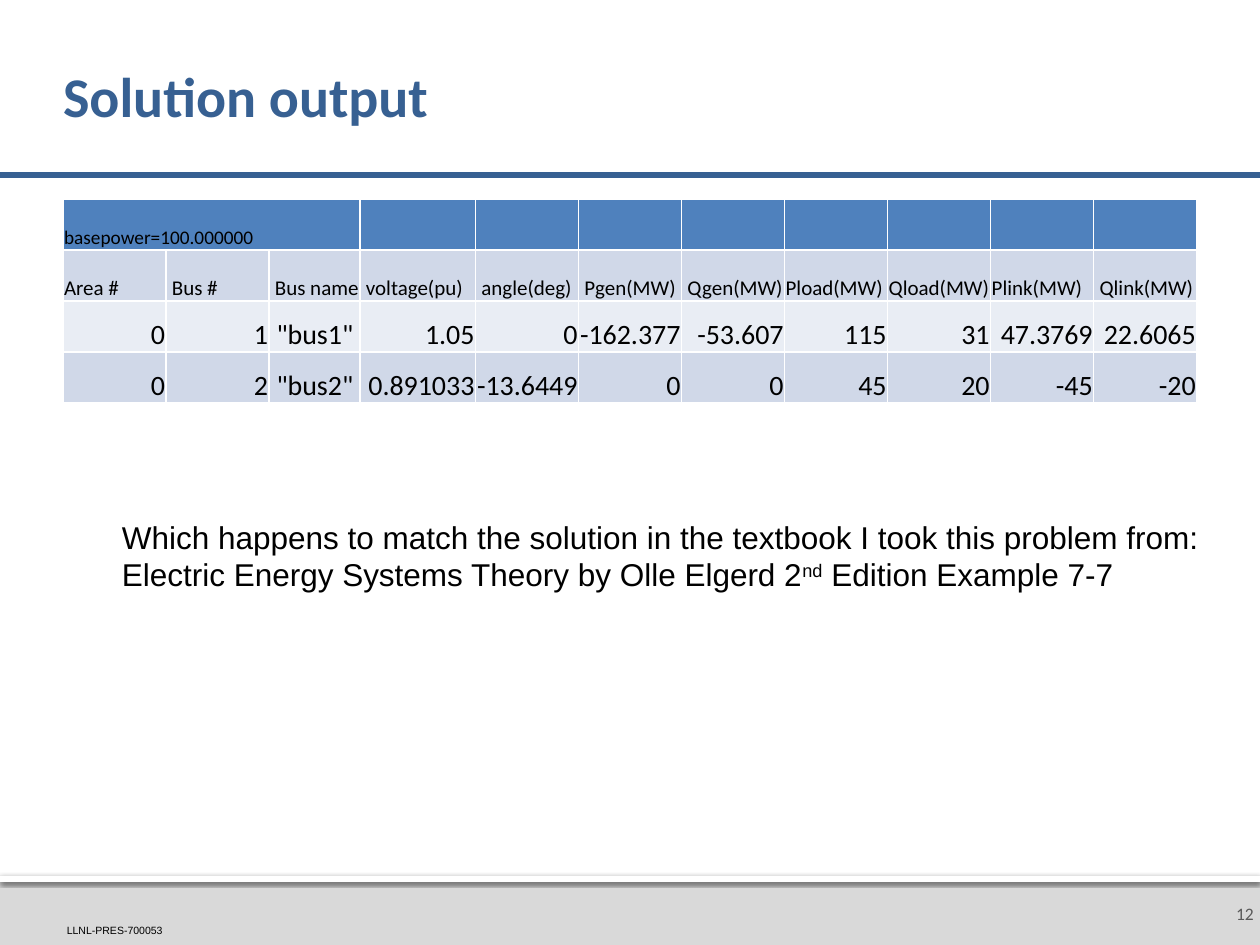
"""Build the "Solution output" slide with its bus results table."""
from dataclasses import dataclass

from lxml import etree
from pptx import Presentation
from pptx.dml.color import RGBColor
from pptx.enum import shapes, text
from pptx.oxml import ns
from pptx.util import Pt

TITLE = "Solution output"
BASE_POWER = "basepower=100.000000"
HEADINGS = ["Area #", "Bus #", "Bus name", "voltage(pu)", "angle(deg)", "Pgen(MW)",
            "Qgen(MW)", "Pload(MW)", "Qload(MW)", "Plink(MW)", "Qlink(MW)"]
FLUSH_HEADINGS = {"Area #", "Pload(MW)", "Qload(MW)", "Plink(MW)"}
BUSES = [
    ["0", "1", '"bus1"', "1.05", "0", "-162.377", "-53.607", "115", "31", "47.3769", "22.6065"],
    ["0", "2", '"bus2"', "0.891033", "-13.6449", "0", "0", "45", "20", "-45", "-20"],
]
REMARK = [
    [("Which happens to match the solution in the textbook I took this problem from:", False)],
    [("Electric Energy Systems Theory by Olle Elgerd 2", False), ("nd", True),
     (" Edition Example 7-7", False)],
]
DOCUMENT_ID = "LLNL-PRES-700053"
PAGE = "12"

COLUMN_WIDTH = 58.9
SPECIAL_WIDTHS = {"Bus name": 52, "voltage(pu)": 66}
ROW_HEIGHT = 29.2
SLIDE_WIDTH, SLIDE_HEIGHT = 720, 540
FOOTER_TOP = 500.4


@dataclass(frozen=True)
class Theme:
    heading_font: str = "Calibri"
    body_font: str = "Arial"
    accent: str = "376092"
    ink: str = "000000"
    muted: str = "595959"
    white: str = "FFFFFF"
    footer: str = "D9D9D9"
    header_row: str = "4F81BD"
    dark_band: str = "D0D8E8"
    light_band: str = "E9EDF4"
    title_size: int = 32
    remark_size: int = 18
    value_size: int = 16
    heading_size: int = 12
    base_size: int = 11
    page_size: int = 10
    id_size: int = 6


THEME = Theme()


def style(paragraph, face, size, color, bold=False, align=text.PP_ALIGN.LEFT):
    paragraph.alignment = align
    font = paragraph.font
    font.name, font.size, font.bold = face, Pt(size), bold
    font.color.rgb = RGBColor.from_string(color)


def set_insets(target, left, top, right, bottom):
    target.margin_left, target.margin_top = Pt(left), Pt(top)
    target.margin_right, target.margin_bottom = Pt(right), Pt(bottom)


def add_text(slide, box, insets, anchor, wrap=True):
    frame = slide.shapes.add_textbox(*map(Pt, box)).text_frame
    frame.word_wrap, frame.vertical_anchor = wrap, anchor
    set_insets(frame, *insets)
    return frame


def add_band(slide, height, color):
    band = slide.shapes.add_shape(shapes.MSO_SHAPE.RECTANGLE, 0, Pt(FOOTER_TOP),
                                  Pt(SLIDE_WIDTH), Pt(height))
    band.fill.solid()
    band.fill.fore_color.rgb = RGBColor.from_string(color)
    band.line.fill.background()
    band.shadow.inherit = False
    return band


def add_frame(slide):
    add_band(slide, SLIDE_HEIGHT - FOOTER_TOP, THEME.footer)
    edge = add_band(slide, 3.6, THEME.white)
    effects = edge._element.spPr.find(ns.qn("a:effectLst"))
    shadow = etree.SubElement(effects, ns.qn("a:outerShdw"), blurRad=str(Pt(2.5)),
                              dist=str(Pt(0.8)), dir="5400000", rotWithShape="0")
    tint = etree.SubElement(shadow, ns.qn("a:srgbClr"), val=THEME.ink)
    etree.SubElement(tint, ns.qn("a:alpha"), val="60000")

    rule = slide.shapes.add_connector(shapes.MSO_CONNECTOR.STRAIGHT, Pt(-0.7), Pt(100),
                                      Pt(SLIDE_WIDTH), Pt(100))
    rule.line.color.rgb = RGBColor.from_string(THEME.accent)
    rule.line.width = Pt(3)
    etree.SubElement(rule._element.spPr, ns.qn("a:effectLst"))

    document = add_text(slide, (38.2, 527.8, 69, 7.2), (0, 0, 0, 0), text.MSO_ANCHOR.BOTTOM)
    document.text = DOCUMENT_ID
    style(document.paragraphs[0], THEME.body_font, THEME.id_size, THEME.ink)
    page = add_text(slide, (694.8, 504, 25.2, 36), (7.2, 3.6, 3.6, 3.6), text.MSO_ANCHOR.MIDDLE)
    page.text = PAGE
    style(page.paragraphs[0], THEME.heading_font, THEME.page_size, THEME.muted,
          align=text.PP_ALIGN.RIGHT)


def add_title(slide):
    title = slide.shapes.title
    title.left, title.top, title.width, title.height = map(Pt, (36, 17.3, 648, 79.2))
    title.text = TITLE
    title.text_frame.vertical_anchor = text.MSO_ANCHOR.MIDDLE
    set_insets(title.text_frame, 0, 3.6, 3.6, 3.6)
    heading = title.text_frame.paragraphs[0]
    heading.line_spacing = 0.9
    style(heading, THEME.heading_font, THEME.title_size, THEME.accent, bold=True)


def fill_cell(cell, words, size, color, indent, align):
    properties = cell._tc.get_or_add_tcPr()
    for side in ("lnL", "lnR", "lnT", "lnB"):
        border = etree.SubElement(properties, ns.qn(f"a:{side}"), w=str(Pt(1)))
        paint = etree.SubElement(border, ns.qn("a:solidFill"))
        etree.SubElement(paint, ns.qn("a:srgbClr"), val=THEME.white)
    cell.fill.solid()
    cell.fill.fore_color.rgb = RGBColor.from_string(color)
    cell.vertical_anchor = text.MSO_ANCHOR.BOTTOM
    set_insets(cell, 0.6 + indent, 0.6, 0.6, 0)
    cell.text = words
    style(cell.text_frame.paragraphs[0], THEME.heading_font, size, THEME.ink, align=align)


def add_results(slide):
    rows = [[BASE_POWER] + [""] * (len(HEADINGS) - 1), HEADINGS, *BUSES]
    row_styles = [(THEME.base_size, THEME.header_row), (THEME.heading_size, THEME.dark_band),
                  (THEME.value_size, THEME.light_band), (THEME.value_size, THEME.dark_band)]
    widths = [SPECIAL_WIDTHS.get(heading, COLUMN_WIDTH) for heading in HEADINGS]
    results = slide.shapes.add_table(len(rows), len(widths), Pt(36), Pt(113.6), Pt(sum(widths)),
                                     Pt(ROW_HEIGHT * len(rows))).table
    results.first_row = results.horz_banding = False
    for column, width in zip(results.columns, widths):
        column.width = Pt(width)
    for r, (row, (size, color)) in enumerate(zip(rows, row_styles)):
        results.rows[r].height = Pt(ROW_HEIGHT)
        for c, (words, heading) in enumerate(zip(row, HEADINGS)):
            is_name = r > 1 and heading == "Bus name"
            is_number = r > 1 and not is_name
            indented = is_name or (r == 1 and heading not in FLUSH_HEADINGS)
            fill_cell(results.cell(r, c), words, size, color,
                      0.23 * size if indented else 0,
                      text.PP_ALIGN.RIGHT if is_number else text.PP_ALIGN.LEFT)
    results.cell(0, 0).merge(results.cell(0, 2))


def add_remark(slide):
    remark = add_text(slide, (62.6, 292.3, 635.8, 50.9), (7.2, 3.6, 7.2, 3.6),
                      text.MSO_ANCHOR.TOP, wrap=False)
    for index, pieces in enumerate(REMARK):
        sentence = remark.add_paragraph() if index else remark.paragraphs[0]
        for words, raised in pieces:
            run = sentence.add_run()
            run.text = words
            if raised:
                run._r.get_or_add_rPr().set("baseline", "30000")
        style(sentence, THEME.body_font, THEME.remark_size, THEME.ink)


def main():
    deck = Presentation()
    deck.slide_width, deck.slide_height = Pt(SLIDE_WIDTH), Pt(SLIDE_HEIGHT)
    slide = deck.slides.add_slide(deck.slide_layouts[5])
    add_frame(slide)
    add_results(slide)
    add_title(slide)
    add_remark(slide)
    deck.save("out.pptx")


if __name__ == "__main__":
    main()
